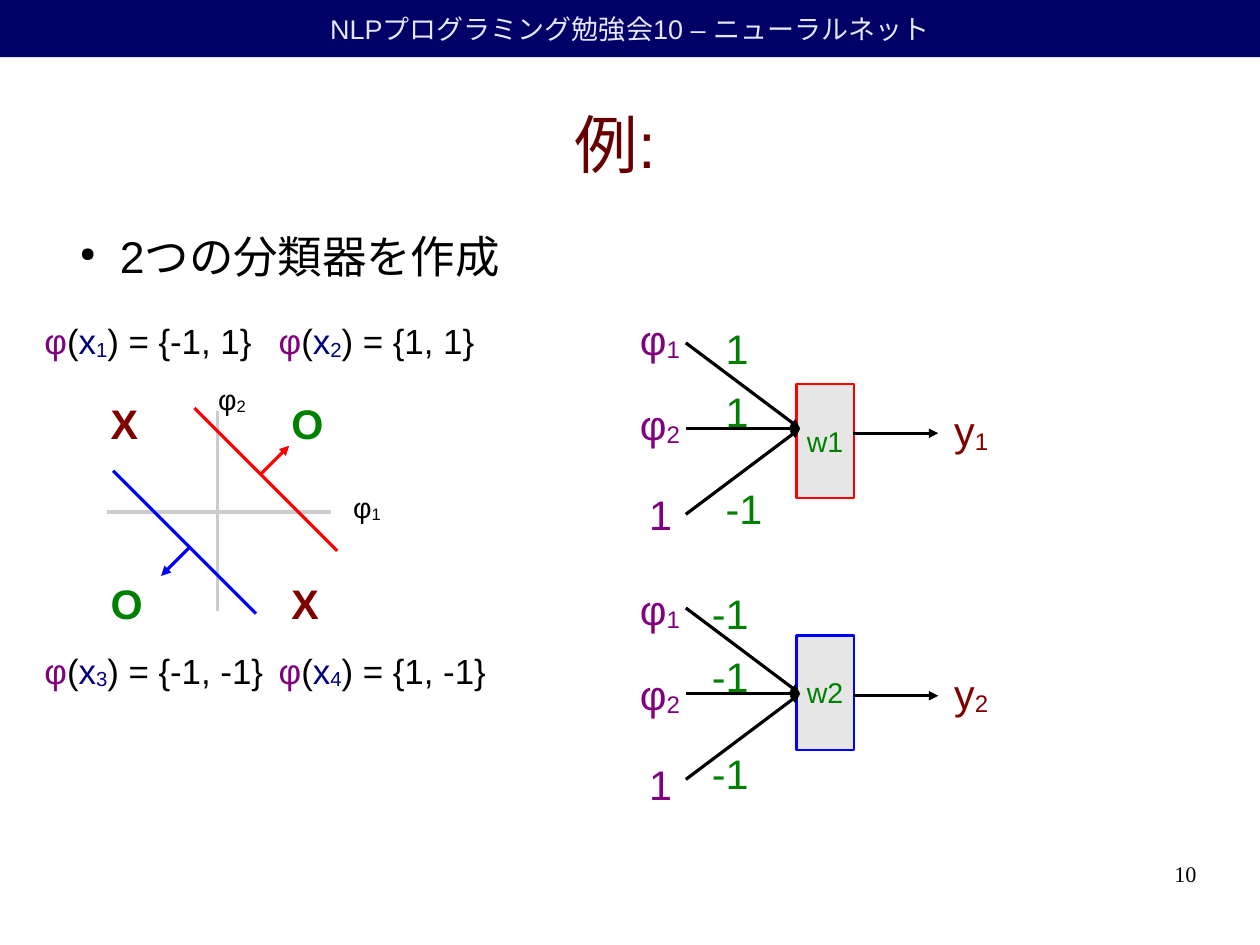
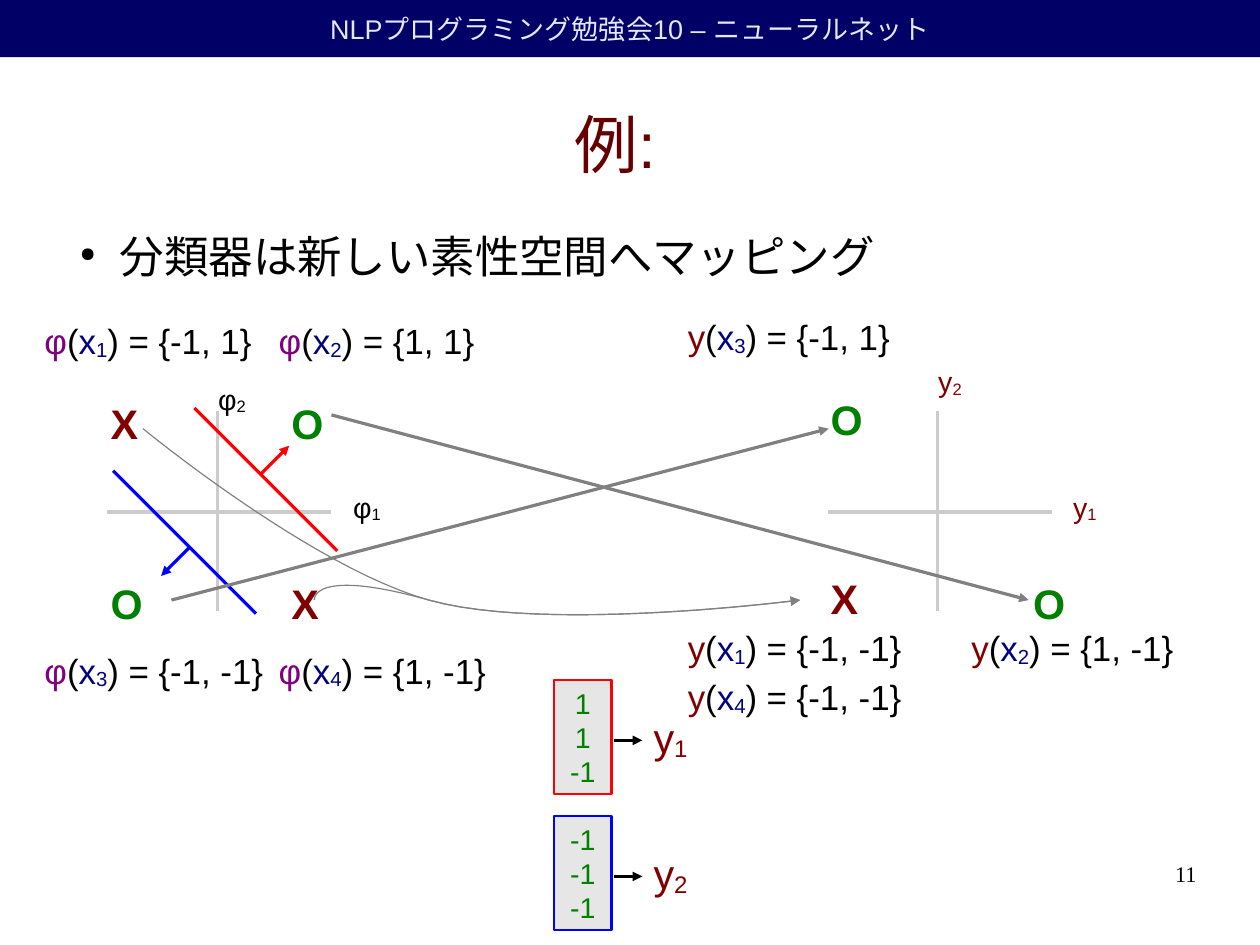
from lxml import etree
from pptx import Presentation
from pptx.dml.color import RGBColor
from pptx.enum.lang import MSO_LANGUAGE_ID
from pptx.enum.shapes import MSO_CONNECTOR, MSO_SHAPE
from pptx.enum.text import MSO_ANCHOR, PP_ALIGN
from pptx.oxml.ns import qn
from pptx.util import Pt

STRAIGHT = MSO_CONNECTOR.STRAIGHT
RECTANGLE = MSO_SHAPE.RECTANGLE
MIDDLE, TOP = MSO_ANCHOR.MIDDLE, MSO_ANCHOR.TOP
LEFT, CENTER, RIGHT = PP_ALIGN.LEFT, PP_ALIGN.CENTER, PP_ALIGN.RIGHT
JAPANESE = MSO_LANGUAGE_ID.JAPANESE

PAGE_W, PAGE_H = 793.7, 595.3
FONT, NUMBER_FONT = "Arial", "Times New Roman"
BAND, BAND_TEXT, TITLE = "000066", "E6E6FF", "660000"
BLACK, AXIS, GRAY, BOX_FILL = "000000", "CCCCCC", "808080", "E6E6E6"
PURPLE, NAVY, GREEN, MAROON = "800080", "000080", "008000", "800000"
RED, BLUE = "FF0000", "0000FF"


def rgb(value):
    return RGBColor.from_string(value)


# Text
def add_span(para, text, color, size, bold=False, sub=False, font=FONT):
    span = para.add_run()
    span.text = text
    span.font.name, span.font.size, span.font.bold = font, Pt(size), bold
    span.font.color.rgb = rgb(color)
    span.font.language_id = JAPANESE
    if sub:
        span._r.get_or_add_rPr().set("baseline", "-8000")


def set_frame(shape, inset_x, inset_y, anchor):
    frame = shape.text_frame
    frame.word_wrap = True
    frame.vertical_anchor = anchor
    frame.margin_left = frame.margin_right = Pt(inset_x)
    frame.margin_top = frame.margin_bottom = Pt(inset_y)
    return frame


def add_text(page, left, top, width, height, inset=(0, 0), anchor=TOP, align=LEFT):
    box = page.shapes.add_textbox(Pt(left), Pt(top), Pt(width), Pt(height))
    para = set_frame(box, *inset, anchor).paragraphs[0]
    para.alignment = align
    return para


def label(page, left, top, spans, size=26, width=40, bold=False):
    """Each span is (text, color) or (text, color, is_subscript)."""
    para = add_text(page, left, top, width, size * 1.2 + 7.2, (7.2, 3.6))
    for text, color, *sub in spans:
        add_span(para, text, color, size, bold, bool(sub))


def variable(page, left, top, letter, index, color, size=26):
    label(page, left, top, [(letter, color), (index, color, True)], size)


def formula(page, left, top, letter, color, index, values):
    spans = [(letter, color), ("(", BLACK), ("x", NAVY), (index, NAVY, True),
             (f") = {{{values}}}", BLACK)]
    label(page, left, top, spans, size=22, width=154)


def mark(page, left, top, text):
    label(page, left, top, [(text, GREEN if text == "O" else MAROON)], bold=True)


# Shapes and lines
def add_block(page, left, top, width, height, fill, border=None):
    block = page.shapes.add_shape(RECTANGLE, Pt(left), Pt(top), Pt(width), Pt(height))
    block.shadow.inherit = False
    block.fill.solid()
    block.fill.fore_color.rgb = rgb(fill)
    if border:
        block.line.color.rgb = rgb(border)
        block.line.width = Pt(1.45)
    else:
        block.line.fill.background()
    return block


def style_line(shape, color, arrow):
    shape.line.color.rgb = rgb(color)
    shape.line.width = Pt(0)
    if arrow:
        outline = shape.element.spPr.get_or_add_ln()
        etree.SubElement(outline, qn("a:tailEnd")).set("type", "triangle")


def line(page, x1, y1, x2, y2, color, arrow=False):
    link = page.shapes.add_connector(STRAIGHT, Pt(x1), Pt(y1), Pt(x2), Pt(y2))
    style_line(link, color, arrow)
    etree.SubElement(link.element.spPr, qn("a:effectLst"))


def bezier(p0, p1, p2, p3, steps=24):
    for step in range(1, steps + 1):
        t = step / steps
        u = 1 - t
        yield tuple(u**3 * a + 3 * u * u * t * b + 3 * u * t * t * c + t**3 * d
                    for a, b, c, d in zip(p0, p1, p2, p3))


def curve(page, start, bend, middle, bend_out, end):
    points = [*bezier(start, start, bend, middle), *bezier(middle, bend_out, end, end)]
    builder = page.shapes.build_freeform(Pt(start[0]), Pt(start[1]))
    builder.add_line_segments([(Pt(x), Pt(y)) for x, y in points], close=False)
    shape = builder.convert_to_shape()
    shape.shadow.inherit = False
    shape.fill.background()
    style_line(shape, GRAY, True)


# Parts shared by the pages
def bullet_line(page, left, top, text):
    para = add_text(page, left, top, 714, 40)
    props = para._p.get_or_add_pPr()
    props.set("marL", str(Pt(33.8)))
    props.set("indent", str(-Pt(25.2)))
    color = etree.SubElement(props, qn("a:buClr"))
    etree.SubElement(color, qn("a:srgbClr")).set("val", BLACK)
    etree.SubElement(props, qn("a:buSzPct")).set("val", "45000")
    etree.SubElement(props, qn("a:buChar")).set("char", "●")
    add_span(para, text, BLACK, 28)


def add_page(deck, number, statement):
    page = deck.slides.add_slide(deck.slide_layouts[6])
    band = add_block(page, 0, 0, PAGE_W, 36, BAND)
    para = set_frame(band, 7.2, 3.6, MIDDLE).paragraphs[0]
    para.alignment = CENTER
    add_span(para, "NLPプログラミング勉強会10 – ニューラルネット", BAND_TEXT, 17)
    title = add_text(page, 30.5, 44.6, 714, 91.4, anchor=MIDDLE, align=CENTER)
    add_span(title, "例:", TITLE, 40)
    bullet_line(page, 41.8, 144, statement)
    footer = add_text(page, 568.8, 542.2, 185, 41, align=RIGHT)
    add_span(footer, str(number), BLACK, 14, font=NUMBER_FONT)
    return page


def axes(page, x, y, letter, color, upper):
    """Axes crossing at (x, y), with the upper name at offset upper."""
    line(page, x, y - 63.3, x, y + 62.7, AXIS)
    line(page, x - 69.1, y, x + 72, y, AXIS)
    variable(page, x + 78.5, y - 17.3, letter, "1", color, 18)
    variable(page, x - 6.5, y + upper, letter, "2", color, 18)


def boundary(page, x, y, side, color):
    """Dividing line centred on (x, y); side is 1 for up right, -1 for down left."""
    half, start, reach = 45 * side, 3.2 * side, 18 * side
    line(page, x - half, y - half, x + half, y + half, color)
    line(page, x - start, y - start, x - start + reach, y - start - reach, color, True)


def input_space(page, x, y):
    axes(page, x, y, "φ", BLACK, -85.7)
    corners = [("1", "-1, 1", "X", -1, -1), ("2", "1, 1", "O", 1, -1),
               ("3", "-1, -1", "O", -1, 1), ("4", "1, -1", "X", 1, 1)]
    for index, values, symbol, across, down in corners:
        mark(page, x + (39.6 if across > 0 else -74.2),
             y + (38.2 if down > 0 else -74.9), symbol)
        formula(page, x + (31.7 if across > 0 else -115.9),
                y + (82.9 if down > 0 else -124.5), "φ", PURPLE, index, values)
    boundary(page, x + 30.6, y - 20.5, 1, RED)
    boundary(page, x - 20.5, y + 19.1, -1, BLUE)


def unit(page, x, y, lines, color, index, arrow, label_x, out_y=38):
    """Classifier box at (x, y) with its output arrow and name."""
    block = add_block(page, x, y, 36, 72, BOX_FILL, color)
    frame = set_frame(block, 0, 4.3, MIDDLE)
    for i, text in enumerate(lines):
        para = frame.paragraphs[0] if i == 0 else frame.add_paragraph()
        para.alignment = CENTER
        add_span(para, text, GREEN, 18)
    line(page, x + arrow[0], y + out_y, x + arrow[1], y + out_y, BLACK, True)
    variable(page, x + label_x, y + out_y - 21, "y", index, MAROON)


def perceptron(page, x, y, index, color, weights, weight_x, name_y, box_y, out_y):
    """Three inputs, the first line starting at (x, y), into one unit."""
    unit(page, x + 69.8, y + box_y, ["w" + index], color, index,
         (35.3, 89.3), 92.2, out_y)
    variable(page, x - 36, y + name_y, "φ", "1", PURPLE)
    variable(page, x - 36, y + name_y + 53.6, "φ", "2", PURPLE)
    label(page, x - 30.2, y + name_y + 110.2, [("1", PURPLE)])
    for row, (weight, weight_y) in enumerate(zip(weights, (-15.8, 23.8, 84.6))):
        line(page, x, y + 54 * row, x + 72, y + 54, BLACK, True)
        label(page, x + weight_x, y + weight_y, [(weight, GREEN)])


def output_space(page, x, y):
    axes(page, x, y, "y", MAROON, -96.5)
    for left, top, symbol in [(-74.2, -77.8, "O"), (-74.2, 35.3, "X"), (53.3, 38.2, "O")]:
        mark(page, x + left, y + top, symbol)
    for left, top, index, values in [(-164.2, -127.4, "3", "-1, 1"),
                                     (-164.2, 68.5, "1", "-1, -1"),
                                     (-164.2, 99.4, "4", "-1, -1"),
                                     (14.4, 68.5, "2", "1, -1")]:
        formula(page, x + left, y + top, "y", MAROON, index, values)


def mapping(page, x, y):
    """Arrows from the input space centred on (x, y) to the output space."""
    tail = [(59, 34.6), (133.2, 55.5), (207.4, 76.4), (367.2, 55.5)]
    for start in [(-46.8, -52.5), (61.2, 55.5)]:
        curve(page, *[(x + dx, y + dy) for dx, dy in [start, *tail]])
    line(page, x + 72, y - 61.1, x + 511.2, y + 55.5, GRAY, True)
    line(page, x - 28.8, y + 55.5, x + 385.2, y - 52.5, GRAY, True)


# Pages
def classifiers_page(deck):
    page = add_page(deck, 10, "2つの分類器を作成")
    input_space(page, 136.8, 322.5)
    perceptron(page, 432, 216, "1", RED, ["1", "1", "-1"], 18, -21.6, 25.9, 31)
    perceptron(page, 432, 383, "2", BLUE, ["-1"] * 3, 9.4, -18.7, 17.3, 38)


def mapping_page(deck):
    page = add_page(deck, 11, "分類器は新しい素性空間へマッピング")
    input_space(page, 136.8, 322.5)
    output_space(page, 590.4, 322.5)
    mapping(page, 136.8, 322.5)
    unit(page, 349.2, 428.4, ["1", "1", "-1"], RED, "1", (37.4, 55.4), 55.4)
    unit(page, 349.2, 514.1, ["-1"] * 3, BLUE, "2", (37.4, 55.4), 55.4)


def main():
    deck = Presentation()
    deck.slide_width, deck.slide_height = Pt(PAGE_W), Pt(PAGE_H)
    classifiers_page(deck)
    mapping_page(deck)
    deck.save("out.pptx")


if __name__ == "__main__":
    main()
